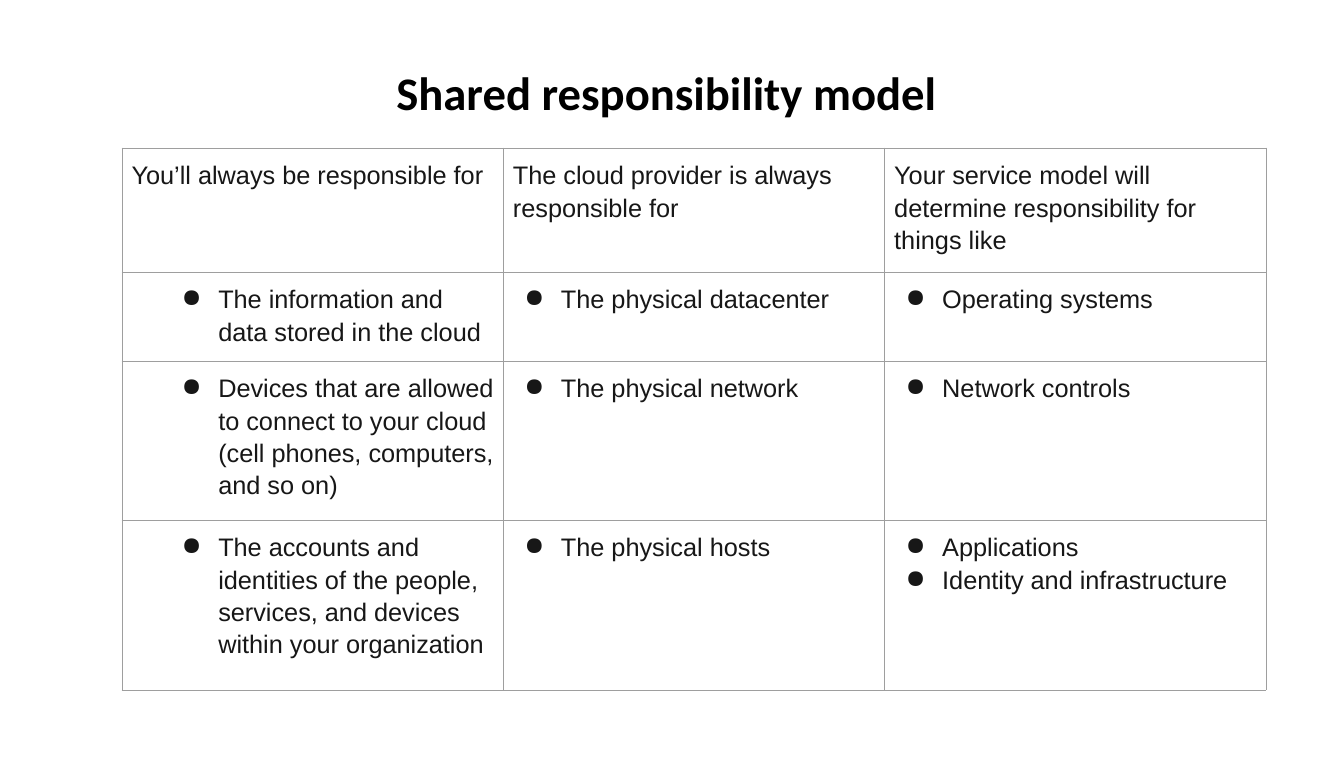
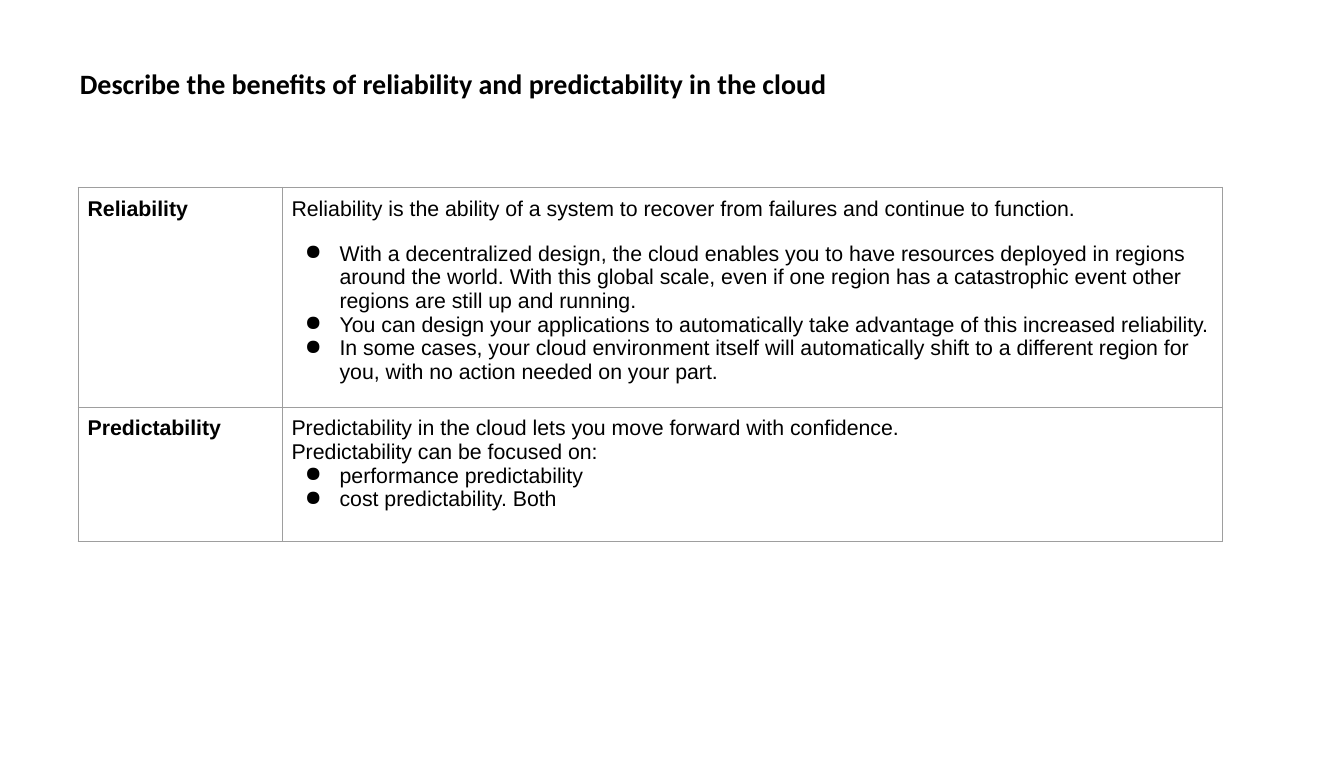
import pptx
import pptx.dml.color
import pptx.enum.text
import pptx.oxml.ns
import pptx.util
import lxml.etree

Pt = pptx.util.Pt
PP_ALIGN = pptx.enum.text.PP_ALIGN

# Shared style
BLACK, INK, GRID, WHITE = "000000", "171717", "9E9E9E", "FFFFFF"
TITLE_FONT, BODY_FONT = "Calibri", "Arial"
CELL_INSET = 7.2
TABLE_WIDTH = 858


def rgb(color):
    return pptx.dml.color.RGBColor.from_string(color)


def sub(parent, tag, **attrs):
    return lxml.etree.SubElement(parent, pptx.oxml.ns.qn(tag), attrs)


# Text
def set_bullet(p, left, hanging, color):
    pPr = p._p.get_or_add_pPr()
    pPr.set("marL", str(Pt(left)))
    pPr.set("indent", str(-Pt(hanging)))
    sub(sub(pPr, "a:buClr"), "a:srgbClr", val=color)
    sub(pPr, "a:buChar", char="●")


def write(tf, text, size=16, color=BLACK, font=BODY_FONT, bold=False,
          align=PP_ALIGN.LEFT, spacing=1.0, after=0, indent=0, hanging=26):
    """Add one paragraph; a positive indent makes it a bullet."""
    p = tf.paragraphs[0] if not tf.text else tf.add_paragraph()
    p.alignment = align
    p.line_spacing = spacing
    p.space_after = Pt(after)
    if indent:
        set_bullet(p, indent, hanging, color)
    r = p.add_run()
    r.text = text
    r.font.size = Pt(size)
    r.font.name = font
    r.font.bold = bold
    r.font.color.rgb = rgb(color)


def add_title(s, text, top, height, size, align=PP_ALIGN.LEFT):
    sp = s.shapes.add_textbox(Pt(50.4), Pt(top), Pt(907.2), Pt(height))
    tf = sp.text_frame
    tf.word_wrap = True
    tf.vertical_anchor = pptx.enum.text.MSO_ANCHOR.MIDDLE
    tf.margin_left = tf.margin_right = Pt(9.5)
    tf.margin_top = tf.margin_bottom = Pt(4.5)
    write(tf, text, size=size, font=TITLE_FONT, bold=True, align=align)


# Tables
def style_cell(cell):
    cell.margin_left = cell.margin_right = Pt(CELL_INSET)
    cell.margin_top = cell.margin_bottom = Pt(CELL_INSET)
    tcPr = cell._tc.get_or_add_tcPr()
    for side in ("a:lnL", "a:lnR", "a:lnT", "a:lnB"):
        ln = sub(tcPr, side, w=str(Pt(0.75)))
        sub(sub(ln, "a:solidFill"), "a:srgbClr", val=GRID)
    cell.fill.solid()
    cell.fill.fore_color.rgb = rgb(WHITE)


def add_grid(s, left, top, widths, heights):
    frame = s.shapes.add_table(len(heights), len(widths), Pt(left), Pt(top),
                               Pt(sum(widths)), Pt(sum(heights)))
    table = frame.table
    table.first_row = table.horz_banding = False
    for column, width in zip(table.columns, widths):
        column.width = Pt(width)
    for row, height in zip(table.rows, heights):
        row.height = Pt(height)
    for cell in table.iter_cells():
        style_cell(cell)
    return table


# Slides
def responsibility_slide(s):
    add_title(s, "Shared responsibility model ", 44.5, 48, 35, PP_ALIGN.CENTER)
    columns = [
        (65, "You’ll always be responsible for", [
            ["The information and data stored in the cloud"],
            ["Devices that are allowed to connect to your cloud "
             "(cell phones, computers, and so on)"],
            ["The accounts and identities of the people, services, "
             "and devices within your organization"]]),
        (36, "The cloud provider is always responsible for", [
            ["The physical datacenter"],
            ["The physical network"],
            ["The physical hosts"]]),
        (36, "Your service model will determine responsibility for things like", [
            ["Operating systems"],
            ["Network controls"],
            ["Applications", "Identity and infrastructure"]]),
    ]
    widths = [TABLE_WIDTH / len(columns)] * len(columns)
    table = add_grid(s, 91.5, 111, widths, [87.5, 62.5, 111.5, 127.5])
    body = dict(size=19, color=INK, spacing=1.15)
    for c, (indent, heading, groups) in enumerate(columns):
        write(table.cell(0, c).text_frame, heading, **body)
        for r, items in enumerate(groups, 1):
            for item in items:
                write(table.cell(r, c).text_frame, item, indent=indent,
                      hanging=27.5, **body)


def benefits_slide(s):
    add_title(s, "Describe the benefits of reliability and predictability in the cloud",
              23, 78.5, 21)
    # Each row: term, space after the introduction, introduction, bullets
    rows = [
        ("Reliability", 16,
         ["Reliability is the ability of a system to recover from failures "
          "and continue to function."],
         ["With a decentralized design, the cloud enables you to have resources "
          "deployed in regions around the world. With this global scale, even if "
          "one region has a catastrophic event other regions are still up and "
          "running.",
          "You can design your applications to automatically take advantage of "
          "this increased reliability.",
          "In some cases, your cloud environment itself will automatically shift "
          "to a different region for you, with no action needed on your part."]),
        ("Predictability", 0,
         ["Predictability in the cloud lets you move forward with confidence.",
          "Predictability can be focused on:"],
         ["performance predictability", "cost predictability. Both"]),
    ]
    term_width = 153
    table = add_grid(s, 58.5, 140.5, [term_width, TABLE_WIDTH - term_width],
                     [154.5, 101])
    for i, (term, gap, intro, bullets) in enumerate(rows):
        write(table.cell(i, 0).text_frame, term, bold=True)
        tf = table.cell(i, 1).text_frame
        for line in intro:
            write(tf, line, after=gap)
        for line in bullets:
            write(tf, line, indent=36)


def main():
    prs = pptx.Presentation()
    prs.slide_width, prs.slide_height = Pt(1008), Pt(576)
    for build in (responsibility_slide, benefits_slide):
        build(prs.slides.add_slide(prs.slide_layouts[6]))
    prs.save("out.pptx")


if __name__ == "__main__":
    main()
